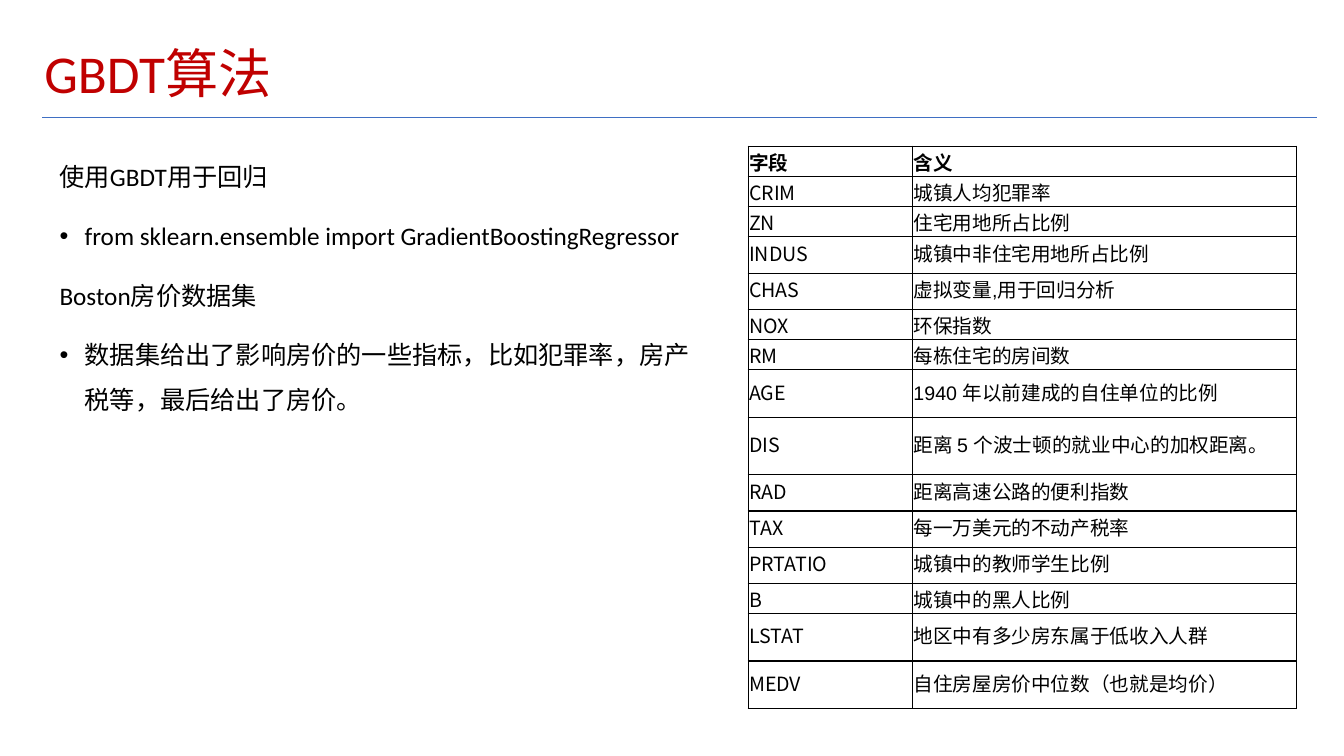
from lxml import etree
from pptx import Presentation
from pptx import util as u
from pptx.dml import color
from pptx.enum import shapes, text
from pptx.oxml import ns

CJK = "Noto Sans CJK SC"


def tint(code):
    return color.RGBColor.from_string(code)


def sub(node, tag, **attrs):
    return etree.SubElement(node, ns.qn(tag), attrs)


def apply(item, form):
    for key, val in form.items():
        setattr(item, key, val)


class Deck:
    ink = "000000"
    red = "C00000"
    blue = "3F6FC3"

    def __init__(self):
        self.prs = Presentation()
        apply(self.prs, {"slide_width": u.Inches(13.33), "slide_height": u.Inches(7.5)})
        self.slide = self.prs.slides.add_slide(self.prs.slide_layouts[6])

    def label(self, para, words, face, size, ink, bold=False):
        run = para.add_run()
        run.text = words
        apply(run.font, {"name": face, "size": u.Pt(size), "bold": bold})
        run.font.color.rgb = tint(ink)
        sub(run.font._element, "a:ea", typeface=CJK)

    def box(self, area, lines, size, ink, space, gap=0, anchor="TOP"):
        frame = self.slide.shapes.add_textbox(*map(u.Inches, area)).text_frame
        apply(frame, {"word_wrap": True, "vertical_anchor": text.MSO_ANCHOR[anchor]})
        for side in ("left", "top", "right", "bottom"):
            setattr(frame, f"margin_{side}", u.Inches(0.05))
        for i, (words, dot) in enumerate(lines):
            para = frame.add_paragraph() if i else frame.paragraphs[0]
            form = {"line_spacing": space}
            if i:
                form["space_before"] = u.Pt(gap)
            apply(para, form)
            if dot:
                props = para._p.get_or_add_pPr()
                props.set("marL", str(u.Inches(0.25)))
                props.set("indent", str(u.Inches(-0.25)))
                sub(props, "a:buFont", typeface="Arial")
                sub(props, "a:buChar", char="•")
            self.label(para, words, "Calibri", size, ink)

    def line(self, ends, ink, width):
        rule = self.slide.shapes.add_connector(
            shapes.MSO_CONNECTOR.STRAIGHT, *map(u.Inches, ends))
        rule.line.color.rgb = tint(ink)
        rule.line.width = u.Pt(width)
        sub(rule._element.spPr, "a:effectLst")

    def edge(self, cell):
        props = cell._tc.get_or_add_tcPr()
        for side in "LRTB":
            ln = sub(props, f"a:ln{side}", w=str(u.Pt(1)))
            sub(sub(ln, "a:solidFill"), "a:srgbClr", val=self.ink)

    def table(self, spot, cols, rows, data):
        size = (sum(cols), sum(rows))
        grid = self.slide.shapes.add_table(
            len(rows), len(cols), *map(u.Inches, spot + size)).table
        apply(grid, {"first_row": False, "horz_banding": False})
        for col, wide in zip(grid.columns, cols):
            col.width = u.Inches(wide)
        for r, (high, row) in enumerate(zip(rows, data)):
            grid.rows[r].height = u.Inches(high)
            for c, (words, face) in enumerate(zip(row, (CJK, "Arial"))):
                cell = grid.cell(r, c)
                apply(cell, {
                    "margin_left": u.Inches(0.01), "margin_right": u.Inches(0.01),
                    "margin_top": u.Inches(0.01), "margin_bottom": u.Inches(0.05),
                    "vertical_anchor": text.MSO_ANCHOR.MIDDLE})
                self.edge(cell)
                cell.fill.background()
                self.label(cell.text_frame.paragraphs[0], words, face, 14, self.ink, r == 0)


FIELDS = [
    ("字段", "含义", 0.3),
    ("CRIM", "城镇人均犯罪率", 0.3),
    ("ZN", "住宅用地所占比例", 0.3),
    ("INDUS", "城镇中非住宅用地所占比例", 0.36),
    ("CHAS", "虚拟变量,用于回归分析", 0.36),
    ("NOX", "环保指数", 0.3),
    ("RM", "每栋住宅的房间数", 0.3),
    ("AGE", "1940 年以前建成的自住单位的比例", 0.47),
    ("DIS", "距离 5 个波士顿的就业中心的加权距离。", 0.57),
    ("RAD", "距离高速公路的便利指数", 0.36),
    ("TAX", "每一万美元的不动产税率", 0.36),
    ("PRTATIO", "城镇中的教师学生比例", 0.36),
    ("B", "城镇中的黑人比例", 0.3),
    ("LSTAT", "地区中有多少房东属于低收入人群", 0.47),
    ("MEDV", "自住房屋房价中位数（也就是均价）", 0.47),
]
NOTES = [
    ("使用GBDT用于回归", False),
    ("from sklearn.ensemble import GradientBoostingRegressor", True),
    ("Boston房价数据集", False),
    ("数据集给出了影响房价的一些指标，比如犯罪率，房产税等，最后给出了房价。", True),
]


def main():
    deck = Deck()
    deck.line((0.42, 1.17, 13.06, 1.17), deck.blue, 0.75)
    deck.box((0.39, 0.4, 11.13, 0.71), [("GBDT算法", False)], 38, deck.red, 0.9,
             anchor="MIDDLE")
    deck.box((0.54, 1.4, 6.49, 5.85), NOTES, 18, deck.ink, 1.5, gap=10)
    rows = [0.3, 0.3, 0.3, 0.3] and [f[2] for f in FIELDS]
    deck.table((7.42, 1.45), (1.63, 3.81), rows, [f[:2] for f in FIELDS])
    deck.prs.save("out.pptx")


if __name__ == "__main__":
    main()
